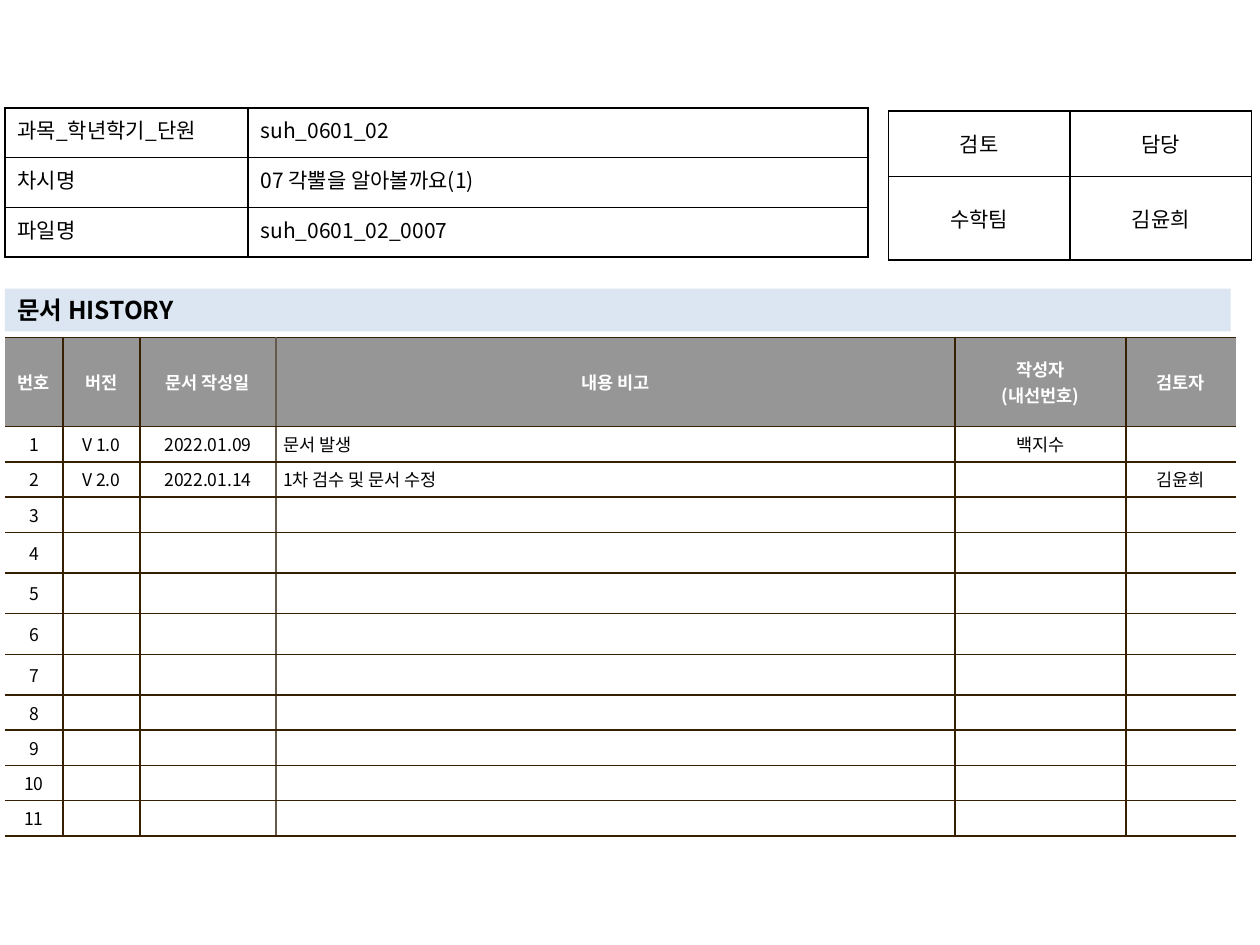
from pptx import Presentation
from pptx.dml.color import RGBColor
from pptx.enum.shapes import MSO_SHAPE
from pptx.enum.text import MSO_ANCHOR, PP_ALIGN
from pptx.oxml.ns import qn
from pptx.util import Cm, Pt
from lxml.etree import SubElement

FONT = "Noto Sans CJK KR"
BLACK = RGBColor(0x00, 0x00, 0x00)
WHITE = RGBColor(0xFF, 0xFF, 0xFF)
GRAY = RGBColor(0x96, 0x96, 0x96)
PALE_BLUE = RGBColor(0xDC, 0xE6, 0xF2)
BROWN = RGBColor(0x36, 0x20, 0x00)
TAUPE = RGBColor(0x64, 0x5B, 0x4C)

DOCUMENT_ROWS = [
    ["과목_학년학기_단원", "suh_0601_02"],
    ["차시명", "07 각뿔을 알아볼까요(1)"],
    ["파일명", "suh_0601_02_0007"],
]
APPROVAL_ROWS = [["검토", "담당"], ["수학팀", "김윤희"]]
HISTORY_HEADER = ["번호", "버전", "문서 작성일", "내용 비고", "작성자\n(내선번호)", "검토자"]
HISTORY_ENTRIES = [
    ["V 1.0", "2022.01.09", "문서 발생", "백지수", ""],
    ["V 2.0", "2022.01.14", "1차 검수 및 문서 수정", "", "김윤희"],
]
HISTORY_COUNT = 11
NOTE_COLUMN = 3


def write_text(frame, text, size, color=BLACK, bold=False, align=PP_ALIGN.LEFT):
    """Write one paragraph per line; an empty text keeps its size and font."""
    for index, line in enumerate(text.split("\n")):
        paragraph = frame.add_paragraph() if index else frame.paragraphs[0]
        paragraph.alignment = align
        if line:
            run = paragraph.add_run()
            run.text = line
            run.font.size = Pt(size)
            run.font.bold = bold
            run.font.color.rgb = color
            run.font.name = FONT
            properties = run.font._element
        else:
            properties = SubElement(paragraph._p, qn("a:endParaRPr"), sz=str(size * 100))
            SubElement(properties, qn("a:latin"), typeface=FONT)
        SubElement(properties, qn("a:ea"), typeface=FONT)


def set_borders(cell, left, right, top, bottom):
    """Draw 1 pt cell borders; None leaves a side open."""
    cell_properties = cell._tc.get_or_add_tcPr()
    for tag, color in zip(("a:lnL", "a:lnR", "a:lnT", "a:lnB"), (left, right, top, bottom)):
        line = SubElement(cell_properties, qn(tag), w=str(Pt(1)))
        if color is None:
            SubElement(line, qn("a:noFill"))
        else:
            fill = SubElement(line, qn("a:solidFill"))
            SubElement(fill, qn("a:srgbClr"), val=str(color))


def add_grid(slide, left, top, widths, heights):
    """Add a plain table with column widths and row heights in cm."""
    table = slide.shapes.add_table(
        len(heights), len(widths), Cm(left), Cm(top), Cm(sum(widths)), Cm(sum(heights))
    ).table
    table.first_row = False
    table.horz_banding = False
    for column, width in zip(table.columns, widths):
        column.width = Cm(width)
    for row, height in zip(table.rows, heights):
        row.height = Cm(height)
    return table


def add_info_table(slide, left, top, widths, heights, rows, aligns, anchor):
    table = add_grid(slide, left, top, widths, heights)
    for r, texts in enumerate(rows):
        for c, text in enumerate(texts):
            cell = table.cell(r, c)
            cell.vertical_anchor = anchor
            set_borders(cell, BLACK, BLACK, BLACK, BLACK)
            cell.fill.background()
            write_text(cell.text_frame, text, 12, align=aligns[c])


def add_history_banner(slide):
    banner = slide.shapes.add_shape(
        MSO_SHAPE.RECTANGLE, Cm(0.1), Cm(5.82), Cm(24.71), Cm(0.86)
    )
    banner.shadow.inherit = False
    banner.fill.solid()
    banner.fill.fore_color.rgb = PALE_BLUE
    banner.line.fill.background()
    frame = banner.text_frame
    frame.word_wrap = True
    frame.vertical_anchor = MSO_ANCHOR.MIDDLE
    frame.margin_top = frame.margin_bottom = Cm(0.05)
    write_text(frame, "문서 HISTORY", 14, bold=True)


def add_history_table(slide):
    widths = [1.17, 1.55, 2.74, 13.69, 3.45, 2.21]
    heights = [1.8] + [0.71] * 3 + [0.82] * 4 + [0.71] * 4
    table = add_grid(slide, 0.1, 6.8, widths, heights)

    # Numbered rows, blank after the recorded entries
    blanks = [[""] * 5] * (HISTORY_COUNT - len(HISTORY_ENTRIES))
    entries = [[str(n), *entry] for n, entry in enumerate(HISTORY_ENTRIES + blanks, 1)]

    # Vertical rules: open outer sides, lighter rule before the notes
    rules = [None, BROWN, BROWN, TAUPE, BROWN, BROWN, None]
    for r, texts in enumerate([HISTORY_HEADER] + entries):
        header = r == 0
        for c, text in enumerate(texts):
            cell = table.cell(r, c)
            cell.vertical_anchor = MSO_ANCHOR.MIDDLE
            cell.margin_left = cell.margin_right = Cm(0.15)
            cell.margin_top = cell.margin_bottom = Cm(0.1)
            set_borders(cell, rules[c], rules[c + 1], BROWN, BROWN)
            cell.fill.solid()
            cell.fill.fore_color.rgb = GRAY if header else WHITE
            is_note = c == NOTE_COLUMN and not header
            write_text(
                cell.text_frame, text, 10,
                color=WHITE if header else BLACK,
                bold=header,
                align=PP_ALIGN.LEFT if is_note else PP_ALIGN.CENTER,
            )


def main():
    presentation = Presentation()
    presentation.slide_width = Cm(25.4)
    presentation.slide_height = Cm(19.05)
    slide = presentation.slides.add_slide(presentation.slide_layouts[6])

    # Change history
    add_history_table(slide)
    # Approval box
    add_info_table(
        slide, 17.91, 2.24, [3.66] * 2, [1.32, 1.68], APPROVAL_ROWS,
        [PP_ALIGN.CENTER] * 2, MSO_ANCHOR.MIDDLE,
    )
    add_history_banner(slide)
    # Document details
    add_info_table(
        slide, 0.1, 2.18, [4.9, 12.5], [1] * 3, DOCUMENT_ROWS,
        [PP_ALIGN.JUSTIFY, PP_ALIGN.LEFT], MSO_ANCHOR.TOP,
    )
    presentation.save("out.pptx")


if __name__ == "__main__":
    main()
